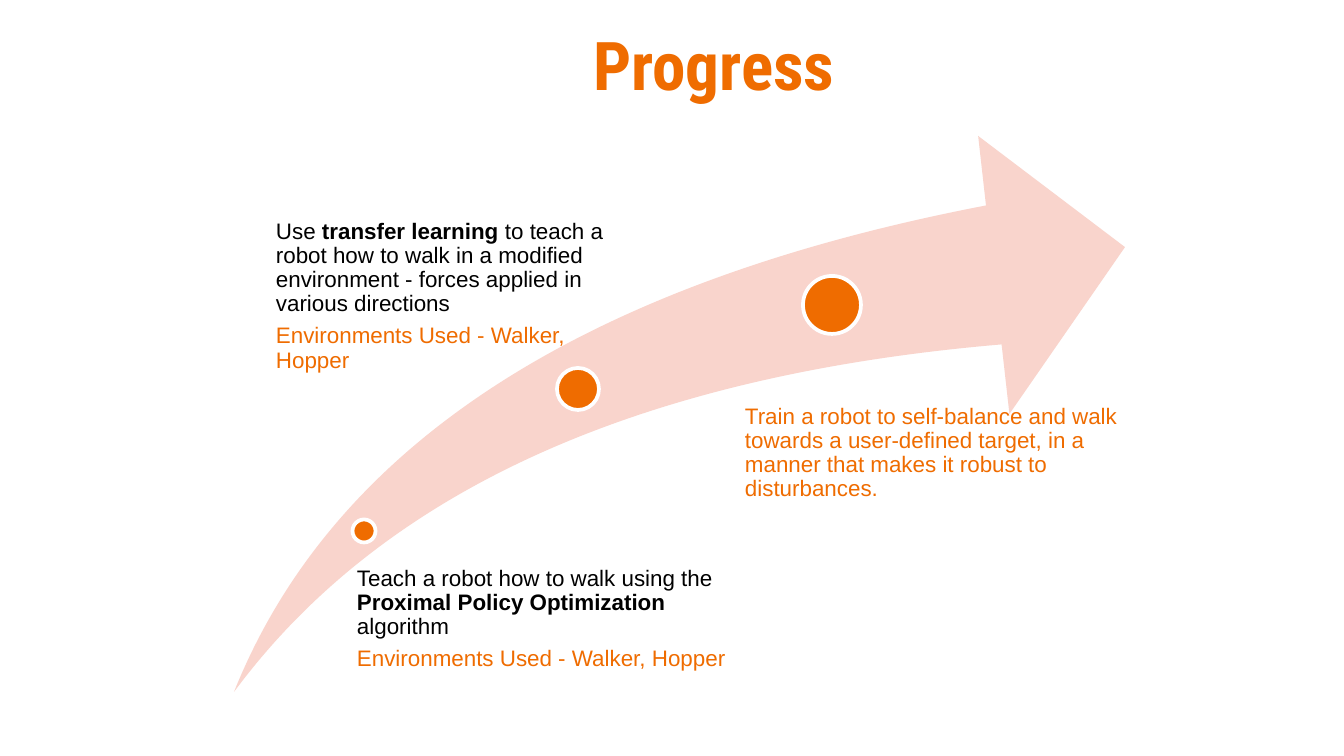
import pptx
import pptx.util
import pptx.dml.color
import pptx.enum.shapes
import pptx.enum.text
from dataclasses import dataclass

PX = 914400 / 134.4


@dataclass(frozen=True)
class Theme:
    accent: str = "EF6C00"
    pale: str = "F9D4CC"
    ink: str = "000000"
    white: str = "FFFFFF"
    head: str = "Roboto Condensed"
    body: str = "Arial"
    big: int = 36
    small: int = 12
    gap: float = 4.2


@dataclass(frozen=True)
class Span:
    text: str
    color: str
    bold: bool = False


@dataclass(frozen=True)
class Step:
    dot: tuple[int, int, int]       # centre x, centre y, diameter
    box: tuple[int, int, int, int]  # left, top, width, height
    inset: int
    paras: tuple[tuple[Span, ...], ...]


LOOK = Theme()
USED = (Span("Environments Used - Walker, Hopper", LOOK.accent),)
STEPS = (
    Step((364, 531, 23), (345, 567, 383, 125), 12, (
        (Span("Teach a robot how to walk using the ", LOOK.ink),
         Span("Proximal Policy Optimization ", LOOK.ink, True),
         Span("algorithm", LOOK.ink)),
        USED)),
    Step((578, 389, 42), (254, 220, 376, 118), 22, (
        (Span("Use ", LOOK.ink),
         Span("transfer learning ", LOOK.ink, True),
         Span("to teach a robot how to walk in a modified environment"
              " - forces applied in various directions", LOOK.ink)),
        USED)),
    Step((832, 305, 58), (715, 405, 438, 195), 30, (
        (Span("Train a robot to self-balance and walk towards a user-defined"
              " target, in a manner that makes it robust to disturbances.",
              LOOK.accent),),)),
)


def px(num: float) -> int:
    return round(num * PX)


def rgb(code: str) -> pptx.dml.color.RGBColor:
    return pptx.dml.color.RGBColor.from_string(code)


def add_run(para, span: Span, face: str, size: int) -> None:
    run = para.add_run()
    run.text = span.text
    run.font.name = face
    run.font.size = pptx.util.Pt(size)
    run.font.bold = span.bold
    run.font.color.rgb = rgb(span.color)


def set_frame(frame, left: int, rest: int, anchor) -> None:
    frame.word_wrap = True
    frame.auto_size = pptx.enum.text.MSO_AUTO_SIZE.NONE
    frame.vertical_anchor = anchor
    frame.margin_left = px(left)
    frame.margin_top = frame.margin_right = frame.margin_bottom = px(rest)


def add_form(slide, kind, box: tuple[int, ...], fill: str):
    form = slide.shapes.add_shape(kind, *map(px, box))
    form.shadow.inherit = False
    form.fill.solid()
    form.fill.fore_color.rgb = rgb(fill)
    form.line.fill.background()
    return form


def add_title(slide, text: str) -> None:
    title = slide.shapes.title
    title.left, title.top, title.width, title.height = map(
        px, (46, 12, 1253, 103))
    set_frame(title.text_frame, 547, 13,
              pptx.enum.text.MSO_ANCHOR.MIDDLE)
    para = title.text_frame.paragraphs[0]
    para.alignment = pptx.enum.text.PP_ALIGN.LEFT
    add_run(para, Span(text, LOOK.accent, True), LOOK.head, LOOK.big)


def add_step(slide, step: Step) -> None:
    # Dot on the arrow
    x, y, size = step.dot
    dot = add_form(slide, pptx.enum.shapes.MSO_SHAPE.OVAL,
                   (x - size / 2, y - size / 2, size, size), LOOK.accent)
    dot.line.color.rgb = rgb(LOOK.white)
    dot.line.width = pptx.util.Pt(2)

    # Text beside it
    frame = slide.shapes.add_textbox(*map(px, step.box)).text_frame
    set_frame(frame, step.inset, 0, pptx.enum.text.MSO_ANCHOR.TOP)
    for i, spans in enumerate(step.paras):
        para = frame.add_paragraph() if i else frame.paragraphs[0]
        para.line_spacing = 0.9
        para.space_after = pptx.util.Pt(LOOK.gap)
        for span in spans:
            add_run(para, span, LOOK.body, LOOK.small)


def main() -> None:
    deck = pptx.Presentation()
    deck.slide_width, deck.slide_height = px(1344), px(756)
    slide = deck.slides.add_slide(deck.slide_layouts[5])
    add_title(slide, "Progress")

    # Rising arrow
    arrow = add_form(slide, pptx.enum.shapes.MSO_SHAPE.SWOOSH_ARROW,
                     (234, 136, 891, 556), LOOK.pale)
    arrow.adjustments[0] = arrow.adjustments[1] = 0.25

    # Milestones
    for step in STEPS:
        add_step(slide, step)
    deck.save("out.pptx")


if __name__ == "__main__":
    main()
